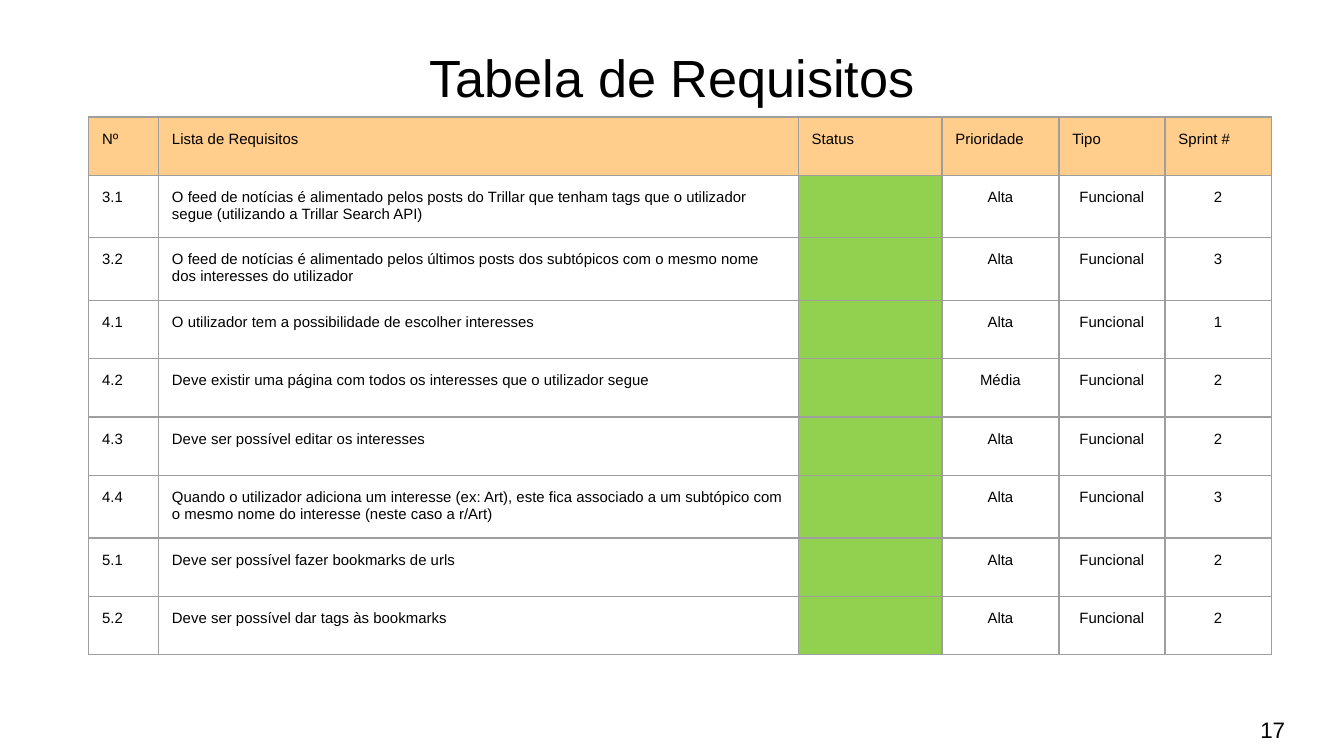
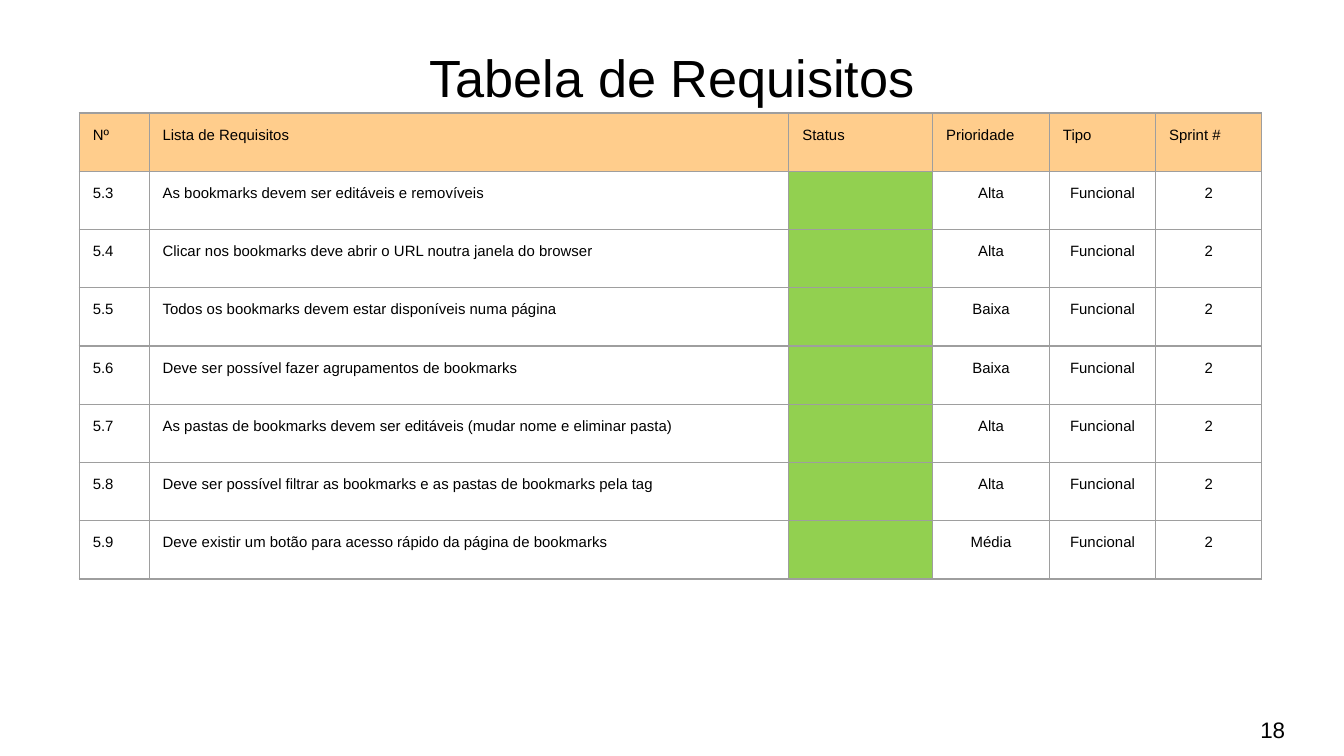
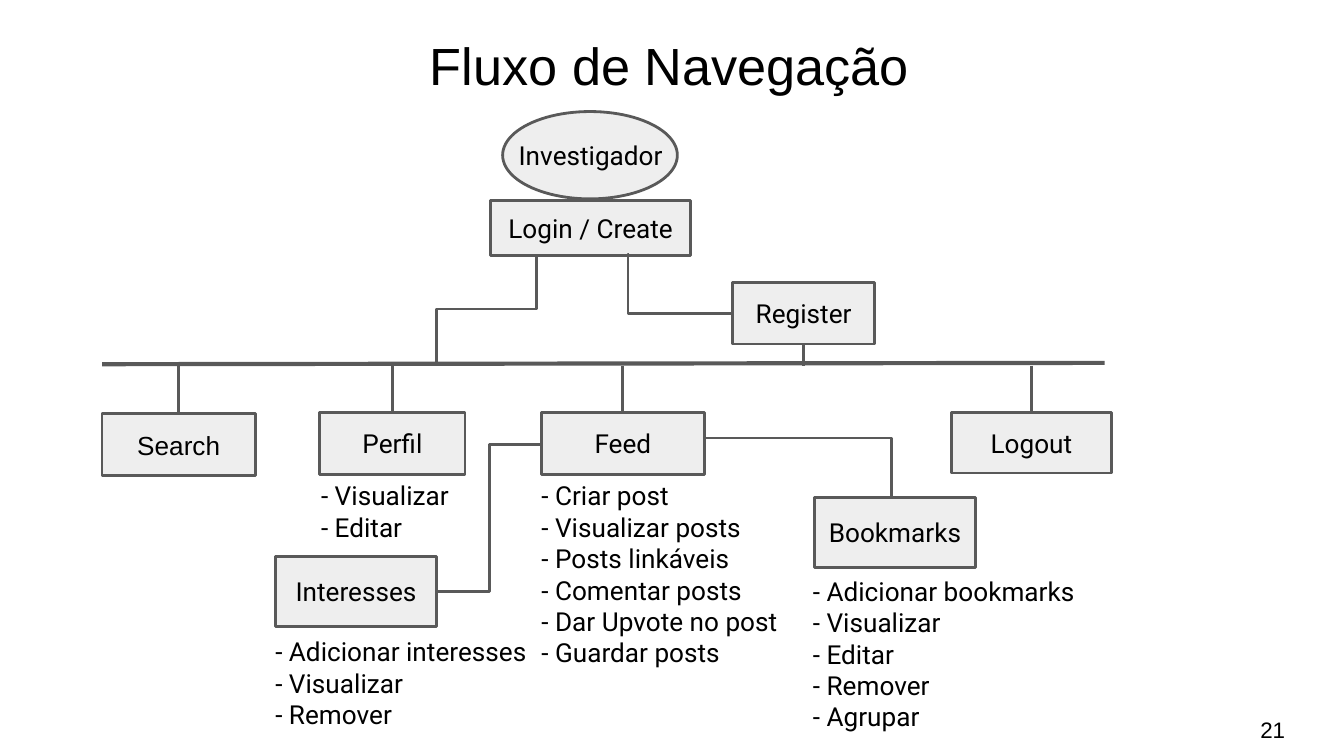
"""Build the requirement tables and the navigation flow slides."""
from dataclasses import dataclass

from lxml import etree
from pptx import Presentation
from pptx.dml.color import RGBColor
from pptx.enum.shapes import MSO_CONNECTOR, MSO_SHAPE
from pptx.enum.text import MSO_ANCHOR, PP_ALIGN
from pptx.oxml.ns import qn
from pptx.util import Inches, Pt

LEFT, CENTER = PP_ALIGN.LEFT, PP_ALIGN.CENTER
TOP, MIDDLE = MSO_ANCHOR.TOP, MSO_ANCHOR.MIDDLE
STRAIGHT, ELBOW = MSO_CONNECTOR.STRAIGHT, MSO_CONNECTOR.ELBOW
RECT, OVAL = MSO_SHAPE.RECTANGLE, MSO_SHAPE.OVAL
SIDE_TOP, SIDE_BOTTOM = 0, 2


@dataclass(frozen=True)
class Theme:
    """Colours, fonts and sizes shared by the slides."""
    text: str = "000000"
    header: str = "FFCD8C"
    done: str = "92D050"
    border: str = "9E9E9E"
    node: str = "EEEEEE"
    line: str = "595959"
    font: str = "Arial"
    flow_font: str = "Roboto"
    title: float = 28
    cell: float = 8
    flow: float = 14
    number: float = 12
    border_w: float = 0.75
    line_w: float = 1.5
    bar_w: float = 2.25


T = Theme()
SLIDE_WIDTH = 10
SLIDE_HEIGHT = SLIDE_WIDTH * 9 / 16
HEADER = ("Nº", "Lista de Requisitos", "Status", "Prioridade", "Tipo", "Sprint #")
COL_WIDTHS = (0.52, 4.76, 1.07, 0.87, 0.79, 0.79)
ROW_HEIGHT = 3.47 / 8
STATUS_COL = 2
KIND = "Funcional"

TABLE_SLIDES = [
    {"number": "17", "at": (0.66, 0.87), "rows": [
        ("3.1", "O feed de notícias é alimentado pelos posts do Trillar que tenham tags "
                "que o utilizador segue (utilizando a Trillar Search API)", "Alta", "2"),
        ("3.2", "O feed de notícias é alimentado pelos últimos posts dos subtópicos com o "
                "mesmo nome dos interesses do utilizador", "Alta", "3"),
        ("4.1", "O utilizador tem a possibilidade de escolher interesses", "Alta", "1"),
        ("4.2", "Deve existir uma página com todos os interesses que o utilizador segue",
         "Média", "2"),
        ("4.3", "Deve ser possível editar os interesses", "Alta", "2"),
        ("4.4", "Quando o utilizador adiciona um interesse (ex: Art), este fica associado a "
                "um subtópico com o mesmo nome do interesse (neste caso a r/Art)", "Alta", "3"),
        ("5.1", "Deve ser possível fazer bookmarks de urls", "Alta", "2"),
        ("5.2", "Deve ser possível dar tags às bookmarks", "Alta", "2"),
    ]},
    {"number": "18", "at": (0.59, 0.84), "rows": [
        ("5.3", "As bookmarks devem ser editáveis e removíveis", "Alta", "2"),
        ("5.4", "Clicar nos bookmarks deve abrir o URL noutra janela do browser", "Alta", "2"),
        ("5.5", "Todos os bookmarks devem estar disponíveis numa página", "Baixa", "2"),
        ("5.6", "Deve ser possível fazer agrupamentos de bookmarks", "Baixa", "2"),
        ("5.7", "As pastas de bookmarks devem ser editáveis (mudar nome e eliminar pasta)",
         "Alta", "2"),
        ("5.8", "Deve ser possível filtrar as bookmarks e as pastas de bookmarks pela tag",
         "Alta", "2"),
        ("5.9", "Deve existir um botão para acesso rápido da página de bookmarks",
         "Média", "2"),
    ]},
]

NODES = {
    "Login / Create": (3.65, 1.49, 1.49, 0.41),
    "Feed": (4.03, 3.07, 1.21, 0.46),
    "Register": (5.45, 2.1, 1.06, 0.46),
    "Perfil": (2.38, 3.07, 1.08, 0.46),
    "Search": (0.76, 3.08, 1.14, 0.46),
    "Bookmarks": (6.06, 3.7, 1.2, 0.52),
    "Logout": (7.08, 3.07, 1.19, 0.45),
    "Interesses": (2.05, 4.14, 1.2, 0.52),
}
NODE_FONTS = {"Search": T.font}
ACTOR = ("Investigador", (3.74, 0.83, 1.3, 0.65), (3.65, 0.94, 1.49, 0.59))
BAR = (0.76, 2.71, 8.22, 2.7)
STEM_Y = 2.72
STEMS = [("Search", SIDE_TOP), ("Perfil", SIDE_TOP), ("Feed", SIDE_TOP),
         ("Logout", SIDE_TOP), ("Register", SIDE_BOTTOM)]
ELBOWS = [
    {"ends": (3.22, 1.93, 4.02, 2.67), "bend": 0.5, "turn": 90},
    {"ends": (4.68, 1.89, 5.45, 2.33), "bend": -0.01, "turn": 0},
    {"ends": (6.62, 3.7, 5.25, 3.26), "bend": -0.01, "turn": 0},
    {"ends": (4.03, 3.31, 3.25, 4.4), "bend": 0.5, "turn": 0},
]
ACTIONS = [
    ((3.78, 3.47, 2.46, 1.86), ["Criar post", "Visualizar posts", "Posts linkáveis",
                                "Comentar posts", "Dar Upvote no post", "Guardar posts"]),
    ((2.14, 3.47, 1.72, 1.63), ["Visualizar", "Editar"]),
    ((5.8, 4.18, 2.46, 1.86), ["Adicionar bookmarks", "Visualizar", "Editar", "Remover",
                               "Agrupar"]),
    ((1.8, 4.63, 2.46, 1.86), ["Adicionar interesses", "Visualizar", "Remover"]),
]


def inches(values):
    """Convert numbers to lengths."""
    return [Inches(v) for v in values]


def set_margins(obj, x, top, bottom):
    """Set the four inner margins of a cell or text frame."""
    margins = {"left": x, "right": x, "top": top, "bottom": bottom}
    for side, value in margins.items():
        setattr(obj, f"margin_{side}", Inches(value))


def write(tf, lines, size, font=T.font, align=CENTER, indent=0):
    """Write one paragraph for each line."""
    for i, line in enumerate(lines):
        p = tf.paragraphs[0] if i == 0 else tf.add_paragraph()
        p.alignment = align
        if indent:
            pPr = p._p.get_or_add_pPr()
            pPr.set("marL", str(Inches(indent)))
            pPr.set("indent", "0")
        r = p.add_run()
        r.text = line
        for name, value in {"size": Pt(size), "name": font}.items():
            setattr(r.font, name, value)
        r.font.color.rgb = RGBColor.from_string(T.text)


def add_text(s, at, lines, size, margin=0.1, **style):
    """Add a wrapping text box."""
    tf = s.shapes.add_textbox(*inches(at)).text_frame
    tf.word_wrap = True
    tf.vertical_anchor = TOP
    set_margins(tf, 0.1, margin, margin)
    write(tf, lines, size, **style)


def new_slide(prs, title, title_at, number):
    """Add a slide with its title and number."""
    s = prs.slides.add_slide(prs.slide_layouts[6])
    add_text(s, (*title_at, 9.32, 0.63), [title], T.title)
    add_text(s, (9.09, 5.28, 0.76, 0.3), [number], T.number, margin=0.05)
    return s


def set_borders(cell):
    """Draw all four borders of a cell."""
    tcPr = cell._tc.get_or_add_tcPr()
    for tag in ("a:lnL", "a:lnR", "a:lnT", "a:lnB"):
        ln = etree.SubElement(tcPr, qn(tag), w=str(Pt(T.border_w)))
        fill = etree.SubElement(ln, qn("a:solidFill"))
        etree.SubElement(fill, qn("a:srgbClr"), val=T.border)


def add_requirements(s, at, rows):
    """Add a table of requirements under its header."""
    grid = [HEADER] + [(no, text, "", level, KIND, sprint)
                       for no, text, level, sprint in rows]
    size = sum(COL_WIDTHS), ROW_HEIGHT * len(grid)
    table = s.shapes.add_table(len(grid), len(HEADER), *inches((*at, *size))).table
    table.first_row = table.horz_banding = False
    for column, width in zip(table.columns, COL_WIDTHS):
        column.width = Inches(width)
    for i, values in enumerate(grid):
        table.rows[i].height = Inches(ROW_HEIGHT)
        for j, value in enumerate(values):
            cell = table.cell(i, j)
            set_borders(cell)
            color = T.header if i == 0 else T.done if j == STATUS_COL else None
            if color:
                cell.fill.solid()
                cell.fill.fore_color.rgb = RGBColor.from_string(color)
            else:
                cell.fill.background()
            if value:
                set_margins(cell, 0.1, 0.1, 0.1)
                align = CENTER if i and j > STATUS_COL else LEFT
                write(cell.text_frame, [value], T.cell, align=align)


def set_line(line, width):
    """Give a line the flow colour and a width."""
    line.color.rgb = RGBColor.from_string(T.line)
    line.width = Pt(width)


def add_node(s, kind, at):
    """Add a grey outlined shape."""
    sp = s.shapes.add_shape(kind, *inches(at))
    sp.shadow.inherit = False
    sp.fill.solid()
    sp.fill.fore_color.rgb = RGBColor.from_string(T.node)
    set_line(sp.line, T.line_w)
    return sp


def add_line(s, kind, ends, width=T.line_w):
    """Add a connector without a shadow."""
    sp = s.shapes.add_connector(kind, *inches(ends))
    set_line(sp.line, width)
    etree.SubElement(sp._element.spPr, qn("a:effectLst"))
    return sp


def add_elbow(s, ends, bend, turn):
    """Add a bent connector with its bend and rotation."""
    spPr = add_line(s, ELBOW, ends)._element.spPr
    geom = spPr.find(qn("a:prstGeom"))
    av = geom.find(qn("a:avLst"))
    if av is None:
        av = etree.SubElement(geom, qn("a:avLst"))
    etree.SubElement(av, qn("a:gd"), name="adj1", fmla=f"val {round(bend * 100000)}")
    if turn:
        spPr.find(qn("a:xfrm")).set("rot", str(turn * 60000))


def add_flow(s):
    """Draw the navigation tree."""
    name, oval_at, label_at = ACTOR
    add_node(s, OVAL, oval_at)
    add_text(s, label_at, [name], T.flow, font=T.flow_font)
    nodes = {}
    for label, at in NODES.items():
        sp = nodes[label] = add_node(s, RECT, at)
        tf = sp.text_frame
        tf.word_wrap = True
        tf.vertical_anchor = MIDDLE
        set_margins(tf, 0.1, 0.1, 0.1)
        write(tf, [label], T.flow, font=NODE_FONTS.get(label, T.flow_font))
    add_line(s, STRAIGHT, BAR, T.bar_w)
    for label, side in STEMS:
        x, y, w, h = NODES[label]
        mid = x + w / 2
        edge = y if side == SIDE_TOP else y + h
        stem = add_line(s, STRAIGHT, (mid, STEM_Y, mid, edge))
        stem.end_connect(nodes[label], side)
    for elbow in ELBOWS:
        add_elbow(s, **elbow)
    for at, actions in ACTIONS:
        add_text(s, at, [f"- {a}" for a in actions], T.flow,
                 font=T.flow_font, align=LEFT, indent=0.15)


def main():
    """Build and save the presentation."""
    prs = Presentation()
    prs.slide_width, prs.slide_height = inches((SLIDE_WIDTH, SLIDE_HEIGHT))
    for page in TABLE_SLIDES:
        s = new_slide(prs, "Tabela de Requisitos", (0.34, 0.24), page["number"])
        add_requirements(s, page["at"], page["rows"])
    add_flow(new_slide(prs, "Fluxo de Navegação", (0.32, 0.15), "21"))
    prs.save("out.pptx")


if __name__ == "__main__":
    main()
